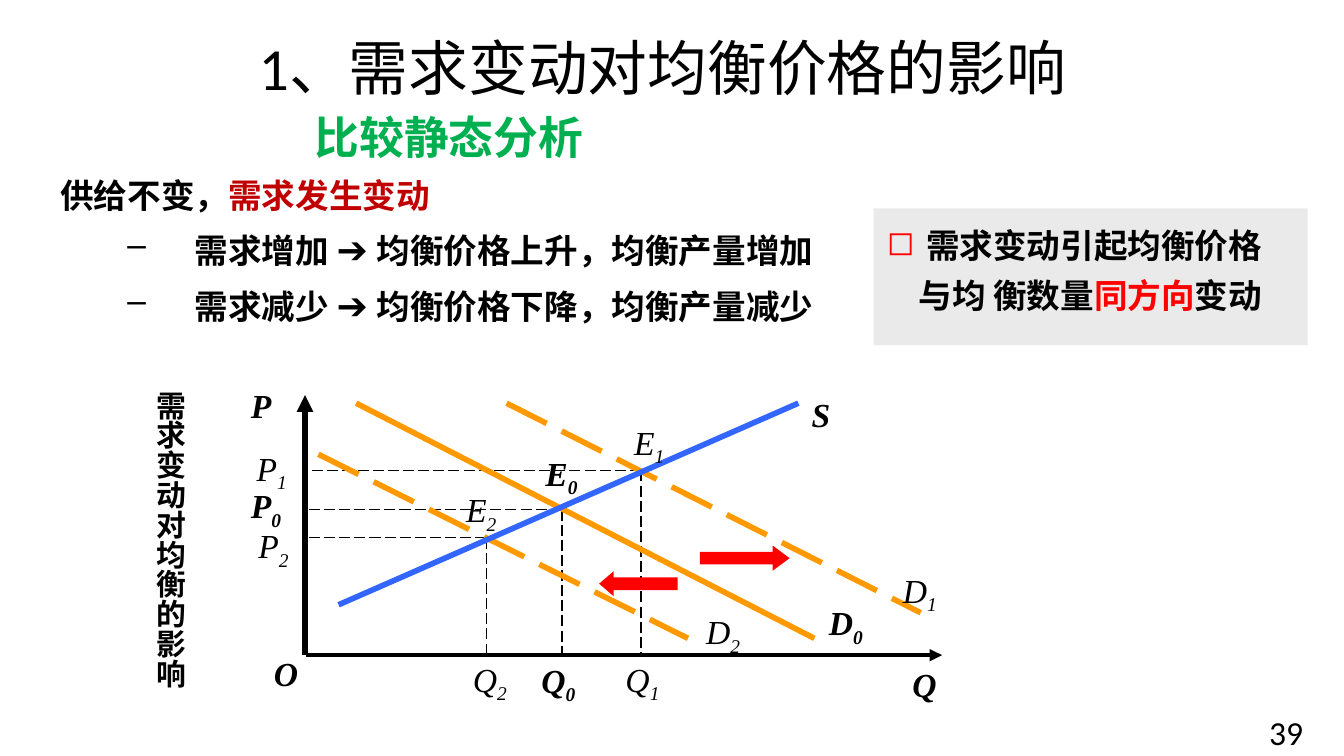
from lxml import etree
from pptx import Presentation
from pptx.dml.color import RGBColor
from pptx.enum.dml import MSO_LINE
from pptx.enum.shapes import MSO_CONNECTOR, MSO_SHAPE
from pptx.enum.text import MSO_ANCHOR, MSO_AUTO_SIZE, PP_ALIGN
from pptx.oxml.ns import qn
from pptx.util import Pt

STRAIGHT = MSO_CONNECTOR.STRAIGHT
LONG_DASH = MSO_LINE.LONG_DASH
RECTANGLE = MSO_SHAPE.RECTANGLE
RIGHT_ARROW, LEFT_ARROW = MSO_SHAPE.RIGHT_ARROW, MSO_SHAPE.LEFT_ARROW
TOP, MIDDLE = MSO_ANCHOR.TOP, MSO_ANCHOR.MIDDLE
NO_FIT = MSO_AUTO_SIZE.NONE
LEFT, CENTER, RIGHT, JUSTIFY = PP_ALIGN.LEFT, PP_ALIGN.CENTER, PP_ALIGN.RIGHT, PP_ALIGN.JUSTIFY

SANS, SERIF = "Calibri", "Times New Roman"
COLORS = {
    "ink": "000000", "heading": "00B050", "emphasis": "C00000", "alert": "FF0000",
    "demand": "FF9900", "supply": "3366FF", "callout": "EAEAEA",
}


def color(name):
    return RGBColor.from_string(COLORS[name])


def set_font(font, size, face, shade="ink", bold=False, italic=False):
    font.size, font.name, font.bold, font.italic = Pt(size), face, bold, italic
    font.color.rgb = color(shade)


def add_text(slide, left, top, width, height, wrap=True):
    frame = slide.shapes.add_textbox(Pt(left), Pt(top), Pt(width), Pt(height)).text_frame
    frame.word_wrap = wrap
    return frame


def add_run(paragraph, text, shade=None, size=None):
    run = paragraph.add_run()
    run.text = text
    if shade:
        run.font.color.rgb = color(shade)
    if size:
        run.font.size = Pt(size)
    return run


def set_indent(paragraph, margin, hanging, bullet=None, shade=None):
    props = paragraph._p.get_or_add_pPr()
    props.set("marL", str(Pt(margin)))
    props.set("indent", str(-Pt(hanging)))
    if shade:
        fill = etree.SubElement(props, qn("a:buClr"))
        etree.SubElement(fill, qn("a:srgbClr"), val=COLORS[shade])
    if bullet:
        etree.SubElement(props, qn("a:buChar"), char=bullet)


def add_line(slide, start, end, shade, weight, dashed=False, arrow=False):
    connector = slide.shapes.add_connector(STRAIGHT, *(Pt(value) for value in (*start, *end)))
    connector.line.color.rgb = color(shade)
    connector.line.width = Pt(weight)
    if dashed:
        connector.line.dash_style = LONG_DASH
    if arrow:
        etree.SubElement(connector.line._get_or_add_ln(), qn("a:tailEnd"), type="triangle")
    etree.SubElement(connector.element.spPr, qn("a:effectLst"))


def add_solid(slide, preset, left, top, width, height, shade):
    shape = slide.shapes.add_shape(preset, Pt(left), Pt(top), Pt(width), Pt(height))
    shape.shadow.inherit = False
    shape.fill.solid()
    shape.fill.fore_color.rgb = color(shade)
    shape.line.fill.background()
    return shape


def add_title(slide, left, top, width, height):
    title = slide.shapes.title
    title.left, title.top, title.width, title.height = Pt(left), Pt(top), Pt(width), Pt(height)
    frame = title.text_frame
    frame.text = "1、需求变动对均衡价格的影响"
    frame.auto_size, frame.vertical_anchor = NO_FIT, MIDDLE
    heading = frame.paragraphs[0]
    heading.alignment = CENTER
    set_font(heading.font, 32, SANS)


def add_analysis(slide, left, top, width, height):
    frame = add_text(slide, left, top, width, height)
    heading = frame.paragraphs[0]
    heading.alignment = CENTER
    set_indent(heading, 36, 36)
    set_font(heading.font, 24, SANS, "heading", bold=True)
    add_run(heading, "比较静态分析")

    premise = frame.add_paragraph()
    set_indent(premise, 36, 36)
    add_run(premise, "供给不变，")
    add_run(premise, "需求发生变动", "emphasis")
    cases = [("需求增加 ", "均衡价格上升，均衡产量增加"), ("需求减少 ", "均衡价格下降，均衡产量减少")]
    for cause, effect in cases:
        case = frame.add_paragraph()
        case.level = 1
        set_indent(case, 72, 36, "–")
        add_run(case, cause)
        add_run(case, "➔ ", size=20)
        add_run(case, effect)
    for paragraph in frame.paragraphs[1:]:
        paragraph.alignment, paragraph.space_before = JUSTIFY, Pt(6)
        set_font(paragraph.font, 18, SERIF, bold=True)


def add_callout(slide, left, top, width, height):
    frame = add_solid(slide, RECTANGLE, left, top, width, height, "callout").text_frame
    frame.word_wrap, frame.vertical_anchor = True, TOP
    conclusion = frame.paragraphs[0]
    conclusion.alignment, conclusion.line_spacing = LEFT, 1.25
    set_indent(conclusion, 17, 17, "◻", "alert")
    set_font(conclusion.font, 18, SANS, bold=True)
    add_run(conclusion, " 需求变动引起均衡价格与均 衡数量")
    add_run(conclusion, "同方向", "alert")
    add_run(conclusion, "变动")


def add_caption(slide, left, top, width, height):
    frame = add_text(slide, left, top, width, height)
    frame._txBody.bodyPr.set("vert", "eaVert")
    caption = frame.paragraphs[0]
    caption.text = "需求变动对均衡的影响"
    set_font(caption.font, 16, SANS, bold=True)


def add_diagram(slide, left, top, width, height):
    def at(x, y):
        return left + x, top + y

    axis_x, axis_y = 42, 149
    add_line(slide, at(41.4, axis_y), at(41.4, 9.7), "ink", 3, arrow=True)
    add_line(slide, at(axis_x, axis_y), at(width, axis_y), "ink", 2.25, arrow=True)

    equilibria = [(179, 71), (221.4, 50), (138.6, 86)]
    for quantity, price in equilibria:
        add_line(slide, at(quantity, price), at(quantity, axis_y), "ink", 0.75, dashed=True)
        add_line(slide, at(quantity, price), at(axis_x, price), "ink", 0.75, dashed=True)

    curves = [
        ((68.8, 14), (314.3, 140), "demand", False),
        ((149.4, 14), (371.2, 126.3), "demand", True),
        ((48.6, 41.4), (246.6, 140), "demand", True),
        ((59.4, 122), (305.7, 14), "supply", False),
    ]
    for start, end, shade, dashed in curves:
        add_line(slide, at(*start), at(*end), shade, 3, dashed)

    shifts = [(RIGHT_ARROW, 253, 90.3, 48, 0.67), (LEFT_ARROW, 199, 104, 42, 0.58)]
    for preset, x, y, length, head in shifts:
        shift = add_solid(slide, preset, *at(x, y), length, 13.5, "alert")
        shift.adjustments[0], shift.adjustments[1] = 0.5, head

    labels = [
        ("S", "", 305.7, 5.4, 36), ("P", "", 5.4, 0.4, 36),
        ("O", "", 17.7, 144.3, 27.4), ("Q", "", 359.7, 150, 36),
        ("D", "0", 315, 117, 41.8), ("E", "0", 163.1, 37, 32.4),
        ("Q", "0", 161, 148, 40.3), ("P", "0", 5.4, 54.3, 31.7),
        ("D", "1", 354.6, 99.7, 33.8), ("E", "1", 204.9, 20.5, 41.8),
        ("Q", "1", 201.3, 147.2, 41.8), ("P", "1", 2.6, 34.2, 41.8),
        ("D", "2", 244.5, 122, 41.8), ("E", "2", 120.6, 56.5, 31.7),
        ("Q", "2", 116.3, 147.2, 48.2), ("P", "2", 0.4, 75.9, 48.2),
    ]
    for symbol, index, x, y, label_width in labels:
        shifted = index in ("1", "2")
        wide = label_width >= 36
        label = add_text(slide, *at(x, y), label_width, 29, wrap=wide).paragraphs[0]
        label.alignment = CENTER if shifted and wide else LEFT
        set_font(label.font, 18, SERIF, bold=not shifted, italic=True)
        add_run(label, symbol)
        if index:
            subscript = add_run(label, index)
            subscript._r.get_or_add_rPr().set("baseline", "-25000")


def add_page_number(slide, left, top, width, height):
    frame = add_text(slide, left, top, width, height)
    frame.margin_right = Pt(11)
    number = frame.paragraphs[0]
    number.text, number.alignment = "39", RIGHT
    set_font(number.font, 18, SANS)


def main():
    deck = Presentation()
    deck.slide_width, deck.slide_height = Pt(720), Pt(405)
    slide = deck.slides.add_slide(deck.slide_layouts[5])
    add_title(slide, 31, 10, 648, 51)
    add_analysis(slide, 25.2, 55.4, 430.6, 130.3)
    add_diagram(slide, 122, 202, 382.7, 177)
    add_caption(slide, 70.6, 202.3, 33.8, 187.2)
    add_callout(slide, 468, 111.6, 232.6, 73.4)
    add_page_number(slide, 541.4, 378, 167.8, 14.4)
    deck.save("out.pptx")


if __name__ == "__main__":
    main()
